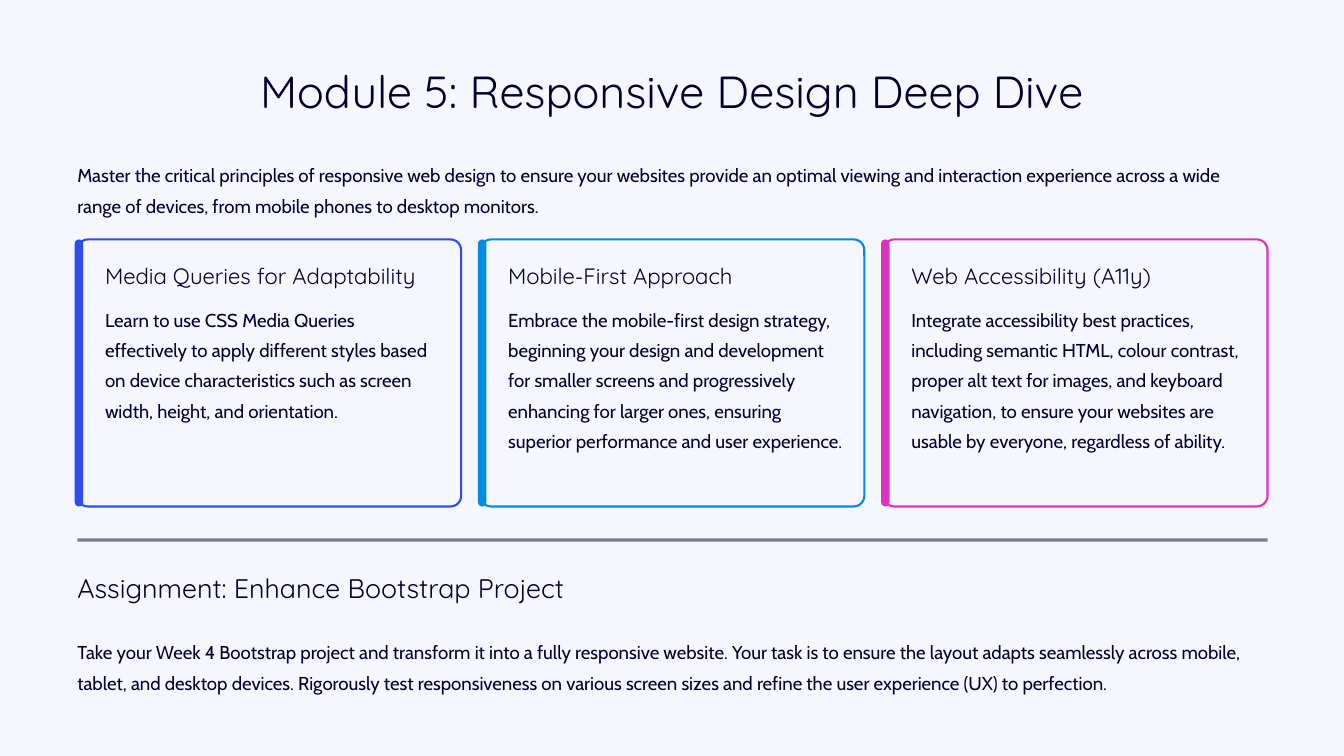
from dataclasses import dataclass

from pptx import Presentation
from pptx.dml.color import RGBColor
from pptx.enum.shapes import MSO_SHAPE
from pptx.enum.text import MSO_ANCHOR, MSO_AUTO_SIZE, PP_ALIGN
from pptx.util import Inches, Pt


@dataclass(frozen=True)
class TextStyle:
    font: str
    size: float
    spacing: float


@dataclass(frozen=True)
class Theme:
    background: str = "F6F6FF"
    ink: str = "00002E"
    divider: str = "7B7B97"
    blue: str = "2D4DF2"
    cyan: str = "018CE1"
    magenta: str = "DA33BF"
    title: TextStyle = TextStyle("Quicksand", 38.5, 48.5)
    section: TextStyle = TextStyle("Quicksand", 23, 29)
    card_heading: TextStyle = TextStyle("Quicksand", 19, 24)
    body: TextStyle = TextStyle("Cabin", 16, 26)


class SlideBuilder:
    def __init__(self, deck, theme):
        self.theme = theme
        self.page = deck.slides.add_slide(deck.slide_layouts[5])
        fill = self.page.background.fill
        fill.solid()
        fill.fore_color.rgb = RGBColor.from_string(theme.background)

    def set_text(self, box, text, style, wrap=True, align=PP_ALIGN.LEFT):
        """Fill a text-bearing shape with one styled paragraph."""
        frame = box.text_frame
        frame.margin_left = frame.margin_right = 0
        frame.margin_top = frame.margin_bottom = 0
        frame.auto_size = MSO_AUTO_SIZE.NONE
        frame.vertical_anchor = MSO_ANCHOR.TOP
        frame.word_wrap = wrap
        para = frame.paragraphs[0]
        para.alignment = align
        para.line_spacing = Pt(style.spacing)
        para.space_before = Pt(0)
        span = para.add_run()
        span.text = text
        span.font.name = style.font
        span.font.size = Pt(style.size)
        span.font.color.rgb = RGBColor.from_string(self.theme.ink)

    def title(self, text, left, top, width, height):
        box = self.page.shapes.title
        box.left, box.top = Inches(left), Inches(top)
        box.width, box.height = Inches(width), Inches(height)
        self.set_text(box, text, self.theme.title, wrap=False, align=PP_ALIGN.CENTER)

    def text(self, text, style, left, top, width, height, wrap=True):
        box = self.page.shapes.add_textbox(
            Inches(left), Inches(top), Inches(width), Inches(height))
        self.set_text(box, text, style, wrap)

    def shape(self, kind, left, top, width, height, fill=None, line=None, corner=None):
        shape = self.page.shapes.add_shape(
            kind, Inches(left), Inches(top), Inches(width), Inches(height))
        shape.shadow.inherit = False
        if corner is not None:
            shape.adjustments[0] = corner
        if fill:
            shape.fill.solid()
            shape.fill.fore_color.rgb = RGBColor.from_string(fill)
        else:
            shape.fill.background()
        if line:
            shape.line.color.rgb = RGBColor.from_string(line)
            shape.line.width = Pt(1.8)
        else:
            shape.line.fill.background()

    def card(self, left, color, heading, body):
        top, height = 2.85, 3.18
        text_left = left + 0.33
        rounded = MSO_SHAPE.ROUNDED_RECTANGLE
        self.shape(rounded, left, top, 4.57, height, line=color, corner=0.04)
        self.shape(rounded, left - 0.03, top, 0.1, height, fill=color, corner=0.5)
        self.text(heading, self.theme.card_heading, text_left, 3.11, 3.99, 0.34, wrap=False)
        self.text(body, self.theme.body, text_left, 3.58, 3.99, 2.2)


def main():
    deck = Presentation()
    deck.slide_width, deck.slide_height = Inches(16), Inches(9)
    theme = Theme()
    slide = SlideBuilder(deck, theme)
    margin, content_width = 0.92, 14.17

    slide.title("Module 5: Responsive Design Deep Dive", 3.04, 0.73, 9.92, 0.67)
    slide.text(
        "Master the critical principles of responsive web design to ensure your websites "
        "provide an optimal viewing and interaction experience across a wide range of "
        "devices, from mobile phones to desktop monitors.",
        theme.body, margin, 1.86, content_width, 0.73)

    cards = [
        (theme.blue, "Media Queries for Adaptability",
         "Learn to use CSS Media Queries effectively to apply different styles based on "
         "device characteristics such as screen width, height, and orientation."),
        (theme.cyan, "Mobile-First Approach",
         "Embrace the mobile-first design strategy, beginning your design and development "
         "for smaller screens and progressively enhancing for larger ones, ensuring "
         "superior performance and user experience."),
        (theme.magenta, "Web Accessibility (A11y)",
         "Integrate accessibility best practices, including semantic HTML, colour contrast, "
         "proper alt text for images, and keyboard navigation, to ensure your websites are "
         "usable by everyone, regardless of ability."),
    ]
    card_pitch = 4.8
    for index, (color, heading, body) in enumerate(cards):
        slide.card(margin + index * card_pitch, color, heading, body)

    slide.shape(MSO_SHAPE.RECTANGLE, margin, 6.41, content_width, 0.04, fill=theme.divider)
    slide.text("Assignment: Enhance Bootstrap Project", theme.section,
               margin, 6.79, 5.83, 0.4, wrap=False)
    slide.text(
        "Take your Week 4 Bootstrap project and transform it into a fully responsive "
        "website. Your task is to ensure the layout adapts seamlessly across mobile, tablet, "
        "and desktop devices. Rigorously test responsiveness on various screen sizes and "
        "refine the user experience (UX) to perfection.",
        theme.body, margin, 7.54, content_width, 0.73)

    deck.save("out.pptx")


if __name__ == "__main__":
    main()
